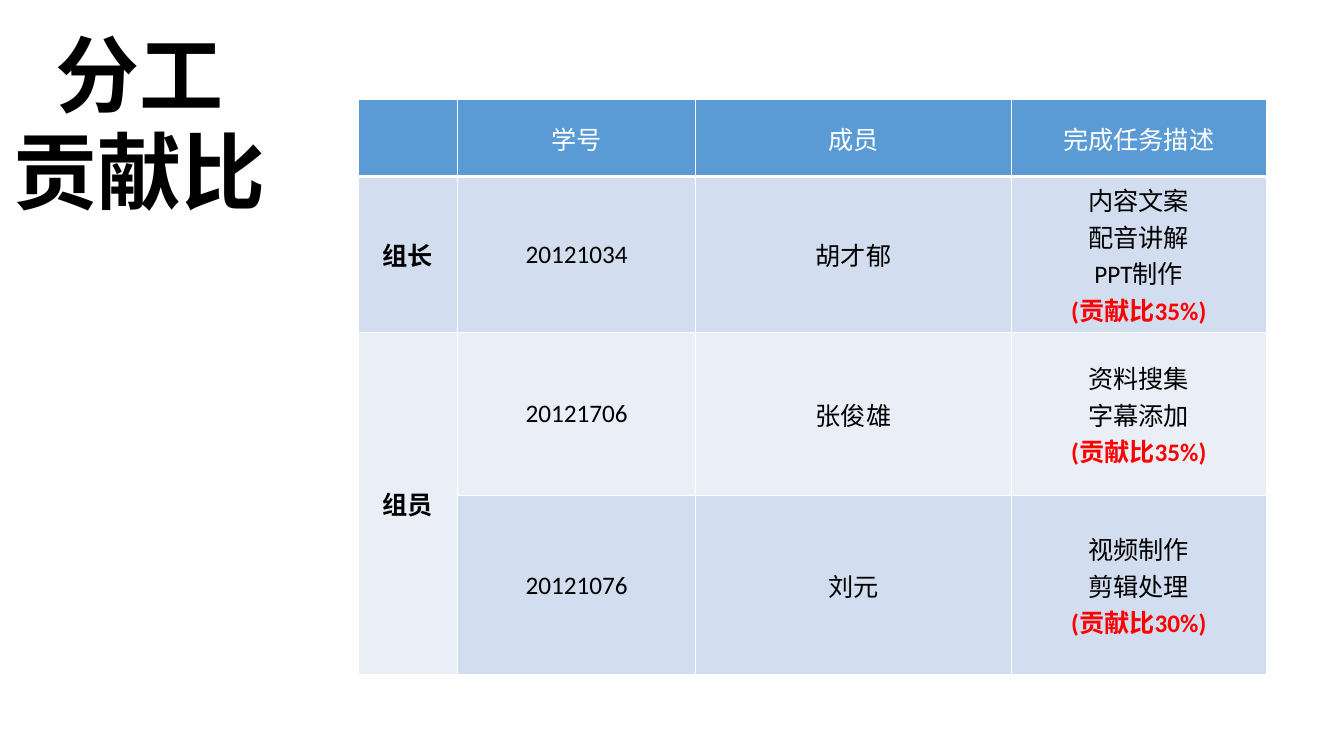
import pptx
import pptx.util
import pptx.dml.color
import pptx.enum.text
import pptx.oxml
import pptx.oxml.ns
import lxml.etree

Inches, Pt = pptx.util.Inches, pptx.util.Pt
RGBColor = pptx.dml.color.RGBColor
ALIGN, ANCHOR = pptx.enum.text.PP_ALIGN, pptx.enum.text.MSO_ANCHOR
qn = pptx.oxml.ns.qn

WHITE = RGBColor(0xFF, 0xFF, 0xFF)
BLACK = RGBColor(0, 0, 0)
RED = RGBColor(0xFF, 0, 0)
HEADER_BLUE = RGBColor(0x5B, 0x9B, 0xD5)
BAND_DARK = RGBColor(0xD2, 0xDE, 0xEF)
BAND_LIGHT = RGBColor(0xEA, 0xEF, 0xF7)

PAGE_SIZE = (13.33, 7.5)
TITLE_BOX = (0.02, 0.19, 2.73, 2.07)
TABLE_BOX = (3.55, 0.99, 9.01, 5.6)
COLUMN_WIDTHS = (0.99, 2.36, 3.13, 2.53)
ROW_HEIGHTS = (0.76, 1.44, 1.62, 1.78)

TITLE = ("分工", "贡献比")
HEADER = ("", "学号", "成员", "完成任务描述")
# role, student number, name, tasks, share of the work
MEMBERS = (
    ("组长", "20121034", "胡才郁", ("内容文案", "配音讲解", "PPT制作"), "(贡献比35%)"),
    ("组员", "20121706", "张俊雄", ("资料搜集", "字幕添加"), "(贡献比35%)"),
    ("", "20121076", "刘元", ("视频制作", "剪辑处理"), "(贡献比30%)"),
)


def set_format(target, values):
    for name, value in values.items():
        setattr(target, name, value)


def write_lines(frame, lines, spacing=1.0):
    """Each line is (text, font name, size, colour, bold)."""
    for index, (text, name, size, color, bold) in enumerate(lines):
        para = frame.paragraphs[0] if index == 0 else frame.add_paragraph()
        set_format(para, {"alignment": ALIGN.CENTER, "line_spacing": spacing,
                          "space_before": Pt(0), "space_after": Pt(0)})
        span = para.add_run()
        span.text = text
        set_format(span.font, {"name": name, "size": Pt(size), "bold": bold})
        span.font.color.rgb = color


def add_title(page, box):
    title = page.shapes.title
    set_format(title, dict(zip(("left", "top", "width", "height"), map(Inches, box))))
    frame = title.text_frame
    set_format(frame, {"word_wrap": False, "vertical_anchor": ANCHOR.MIDDLE,
                       "auto_size": pptx.enum.text.MSO_AUTO_SIZE.NONE})
    font = "Noto Sans CJK SC"
    write_lines(frame, [(text, font, 60, BLACK, True) for text in TITLE], Pt(69))
    # East Asian typeface
    for para in frame.paragraphs:
        for span in para.runs:
            latin = span.font._element.find(qn("a:latin"))
            east_asian = lxml.etree.Element(qn("a:ea"), typeface=font)
            latin.addnext(east_asian)


def add_borders(cell, bottom_width):
    properties = cell._tc.get_or_add_tcPr()
    widths = (("lnL", 1), ("lnR", 1), ("lnT", 1), ("lnB", bottom_width))
    for index, (side, width) in enumerate(widths):
        line = lxml.etree.Element(qn("a:" + side), w=str(Pt(width)))
        fill = lxml.etree.SubElement(line, qn("a:solidFill"))
        lxml.etree.SubElement(fill, qn("a:srgbClr"), val=str(WHITE))
        properties.insert(index, line)


def fill_cell(cell, lines, fill, bottom_width=1):
    cell.fill.solid()
    cell.fill.fore_color.rgb = fill
    cell.vertical_anchor = ANCHOR.MIDDLE
    write_lines(cell.text_frame, [(text, "Calibri", 18, color, bold)
                                  for text, color, bold in lines])
    add_borders(cell, bottom_width)


def add_members_table(page, box):
    table = page.shapes.add_table(len(ROW_HEIGHTS), len(COLUMN_WIDTHS),
                                  *map(Inches, box)).table
    for column, width in zip(table.columns, COLUMN_WIDTHS):
        column.width = Inches(width)
    for row, height in zip(table.rows, ROW_HEIGHTS):
        row.height = Inches(height)

    # Header row
    for column, text in enumerate(HEADER):
        lines = [(text, WHITE, False)] if text else []
        fill_cell(table.cell(0, column), lines, HEADER_BLUE, 3)

    # One banded row for each member
    for row, (role, number, name, tasks, share) in enumerate(MEMBERS, 1):
        contents = (
            [(role, BLACK, True)] if role else [],
            [(number, BLACK, False)],
            [(name, BLACK, False)],
            [(task, BLACK, False) for task in tasks] + [(share, RED, True)],
        )
        band = BAND_DARK if row % 2 else BAND_LIGHT
        for column, lines in enumerate(contents):
            fill_cell(table.cell(row, column), lines, band)
    table.cell(2, 0).merge(table.cell(3, 0))


def main():
    deck = pptx.Presentation()
    deck.slide_width, deck.slide_height = map(Inches, PAGE_SIZE)
    page = deck.slides.add_slide(deck.slide_layouts[5])
    add_members_table(page, TABLE_BOX)
    add_title(page, TITLE_BOX)
    deck.save("out.pptx")


if __name__ == "__main__":
    main()
